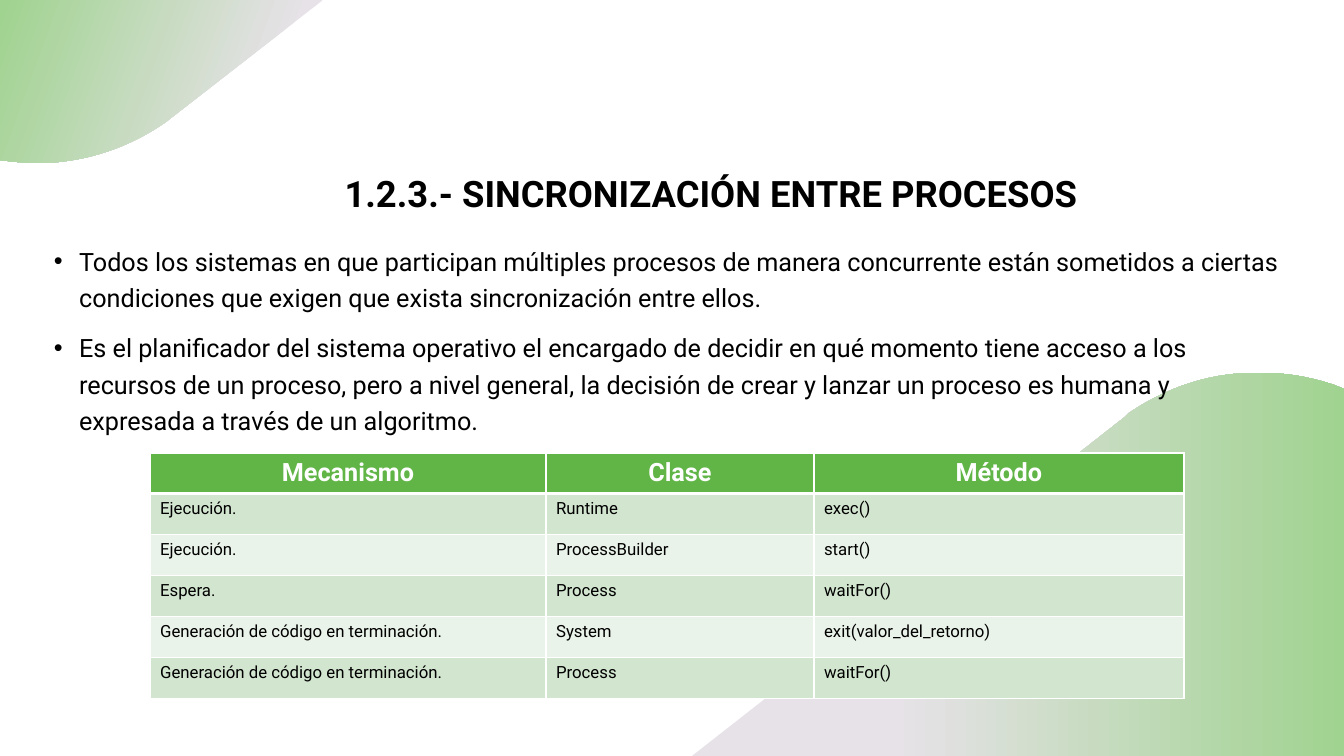
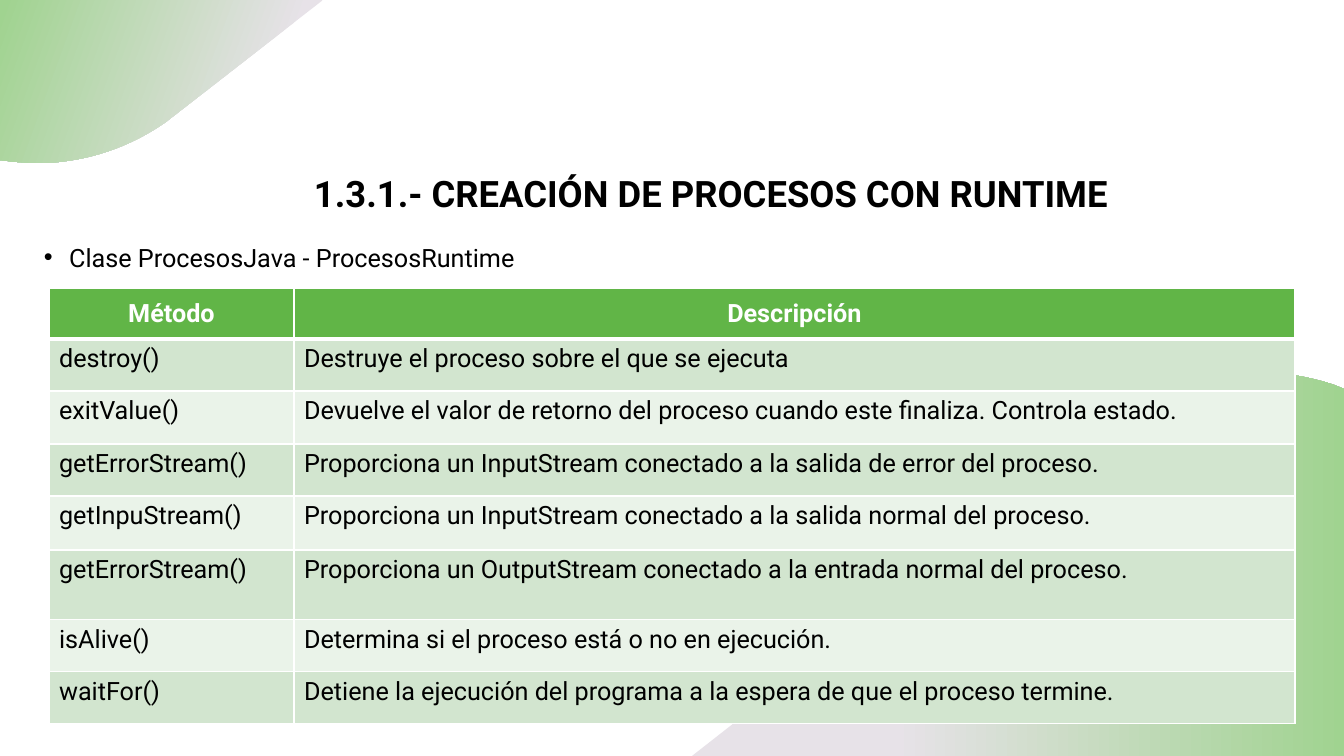
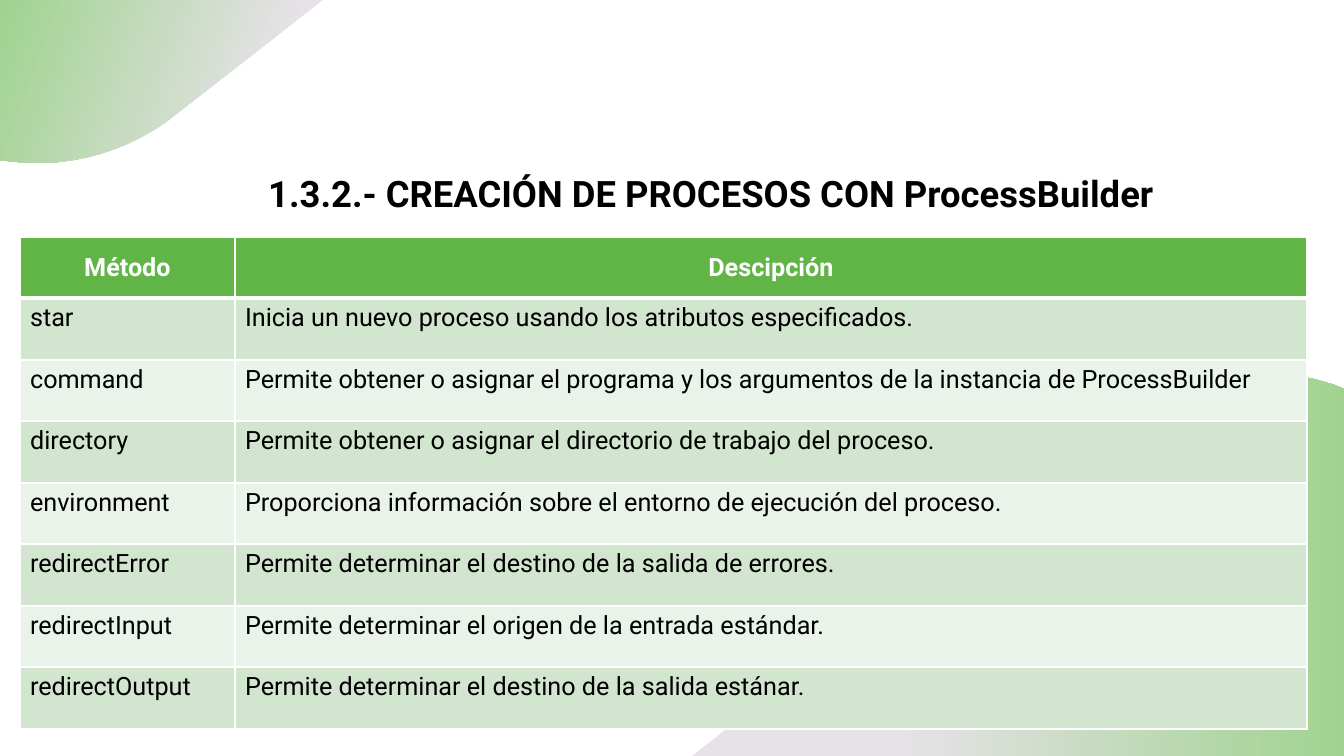
from lxml.etree import SubElement
from pptx import Presentation
from pptx.dml.color import RGBColor
from pptx.enum.text import MSO_ANCHOR, PP_ALIGN
from pptx.oxml.ns import qn
from pptx.util import Pt

WIDTH, HEIGHT = 1344, 756
SCALE = 12192000 / WIDTH
FONT = "Roboto"
CURVE_STEPS = 16

BLACK = RGBColor(0x00, 0x00, 0x00)
WHITE = RGBColor(0xFF, 0xFF, 0xFF)
HEADER_GREEN = RGBColor(0x61, 0xB5, 0x47)
BANDS = (RGBColor(0xD2, 0xE5, 0xCF), RGBColor(0xEA, 0xF3, 0xE9))
LAVENDER = RGBColor(0xE7, 0xE2, 0xE8)
LEAF_GREEN = RGBColor(0xA0, 0xD3, 0x90)

TITLE_BOX = (219, 126, 985, 139)
TOP_LEAF = {
    "start": (0, 0),
    "segments": [
        [(323, 0)], [(171, 118)], [(166, 122)],
        [(130, 147), (89, 161), (46, 163)],
        [(42, 163), (37, 163), (33, 163)],
        [(27, 163), (21, 162), (15, 162)],
        [(0, 160)],
    ],
    "stops": (0.19, 0.99),
    "angle": 160,
}
BOTTOM_LEAF = {
    "start": (1263, 373),
    "segments": [
        [(1287, 373), (1310, 377), (1334, 385)],
        [(1344, 389)], [(1344, 756)], [(692, 756)], [(1125, 417)], [(1129, 413)],
        [(1166, 388), (1207, 374), (1250, 373)],
        [(1254, 373), (1258, 372), (1263, 373)],
    ],
    "stops": (0.31, 1.0),
    "angle": 0,
}

SLIDES = [
    {
        "title": "1.2.3.- SINCRONIZACIÓN ENTRE PROCESOS",
        "body_box": (44, 235, 1246, 485),
        "bullets": [
            "Todos los sistemas en que participan múltiples procesos de manera concurrente están "
            "sometidos a ciertas condiciones que exigen que exista sincronización entre ellos.",
            "Es el planificador del sistema operativo el encargado de decidir en qué momento tiene "
            "acceso a los recursos de un proceso, pero a nivel general, la decisión de crear y lanzar "
            "un proceso es humana y expresada a través de un algoritmo.",
        ],
        "origin": (150, 453),
        "columns": [396, 268, 370],
        "heights": [40] + [41] * 5,
        "size": 12,
        "rows": [
            ("Mecanismo", "Clase", "Método"),
            ("Ejecución.", "Runtime", "exec()"),
            ("Ejecución.", "ProcessBuilder", "start()"),
            ("Espera.", "Process", "waitFor()"),
            ("Generación de código en terminación.", "System", "exit(valor_del_retorno)"),
            ("Generación de código en terminación.", "Process", "waitFor()"),
        ],
    },
    {
        "title": "1.3.1.- CREACIÓN DE PROCESOS CON RUNTIME",
        "body_box": (34, 231, 1271, 491),
        "bullets": ["Clase ProcesosJava - ProcesosRuntime"],
        "origin": (49, 288),
        "columns": [245, 1001],
        "heights": [51, 52, 53, 52, 54, 70, 52, 52],
        "size": 18,
        "rows": [
            ("Método", "Descripción"),
            ("destroy()", "Destruye el proceso sobre el que se ejecuta"),
            ("exitValue()", "Devuelve el valor de retorno del proceso cuando este finaliza. Controla estado."),
            ("getErrorStream()", "Proporciona un InputStream conectado a la salida de error del proceso."),
            ("getInpuStream()", "Proporciona un InputStream conectado a la salida normal del proceso."),
            ("getErrorStream()", "Proporciona un OutputStream conectado a la entrada normal del proceso."),
            ("isAlive()", "Determina si el proceso está o no en ejecución."),
            ("waitFor()", "Detiene la ejecución del programa a la espera de que el proceso termine."),
        ],
    },
    {
        "title": "1.3.2.- CREACIÓN DE PROCESOS CON ProcessBuilder",
        "bullets": [],
        "origin": (20, 237),
        "columns": [215, 1072],
        "heights": [61, 62] * 4,
        "size": 18,
        "rows": [
            ("Método", "Descipción"),
            ("star", "Inicia un nuevo proceso usando los atributos especificados."),
            ("command", "Permite obtener o asignar el programa y los argumentos de la instancia de ProcessBuilder"),
            ("directory", "Permite obtener o asignar el directorio de trabajo del proceso."),
            ("environment", "Proporciona información sobre el entorno de ejecución del proceso."),
            ("redirectError", "Permite determinar el destino de la salida de errores."),
            ("redirectInput", "Permite determinar el origen de la entrada estándar."),
            ("redirectOutput", "Permite determinar el destino de la salida estánar."),
        ],
    },
]


def px(value):
    return round(value * SCALE)


def add_run(paragraph, text, size, color=BLACK, bold=False):
    run = paragraph.add_run()
    run.text = text
    run.font.name = FONT
    run.font.size = Pt(size)
    run.font.bold = bold
    run.font.color.rgb = color


def curve_points(start, first, second, end):
    for step in range(1, CURVE_STEPS + 1):
        t = step / CURVE_STEPS
        u = 1 - t
        yield tuple(
            u ** 3 * a + 3 * u * u * t * b + 3 * u * t * t * c + t ** 3 * d
            for a, b, c, d in zip(start, first, second, end)
        )


def add_leaf(slide, leaf):
    points = [leaf["start"]]
    for segment in leaf["segments"]:
        points.extend(curve_points(points[-1], *segment) if len(segment) == 3 else segment)
    outline = [(px(x), px(y)) for x, y in points]
    builder = slide.shapes.build_freeform(*outline[0])
    builder.add_line_segments(outline[1:], close=True)
    shape = builder.convert_to_shape()
    shape.shadow.inherit = False
    shape.line.fill.background()
    shape.fill.gradient()
    shape.fill.gradient_angle = leaf["angle"]
    for stop, position, color in zip(shape.fill.gradient_stops, leaf["stops"], (LAVENDER, LEAF_GREEN)):
        stop.position = position
        stop.color.rgb = color


def add_text_frame(slide, box):
    frame = slide.shapes.add_textbox(*map(px, box)).text_frame
    frame.word_wrap = True
    return frame


def add_title(slide, text):
    frame = add_text_frame(slide, TITLE_BOX)
    frame.vertical_anchor = MSO_ANCHOR.MIDDLE
    paragraph = frame.paragraphs[0]
    paragraph.alignment = PP_ALIGN.CENTER
    paragraph.line_spacing = 0.9
    add_run(paragraph, text, 26, bold=True)


def add_bullets(slide, box, bullets):
    frame = add_text_frame(slide, box)
    for index, text in enumerate(bullets):
        paragraph = frame.add_paragraph() if index else frame.paragraphs[0]
        paragraph.line_spacing = 1.2
        paragraph.space_before = Pt(10)
        properties = paragraph._p.get_or_add_pPr()
        properties.set("marL", "228600")
        properties.set("indent", "-228600")
        SubElement(properties, qn("a:buFont"), typeface="Arial")
        SubElement(properties, qn("a:buChar"), char="•")
        add_run(paragraph, text, 18)


def set_borders(cell, row_index):
    thick_sides = {0: "B", 1: "T"}
    properties = cell._tc.get_or_add_tcPr()
    for side in "LRTB":
        width = Pt(3 if thick_sides.get(row_index) == side else 1)
        line = SubElement(properties, qn(f"a:ln{side}"), w=str(width))
        fill = SubElement(line, qn("a:solidFill"))
        SubElement(fill, qn("a:srgbClr"), val=str(WHITE))


def add_method_table(slide, content):
    rows, columns, heights = content["rows"], content["columns"], content["heights"]
    box = (*content["origin"], sum(columns), sum(heights))
    table = slide.shapes.add_table(len(rows), len(columns), *map(px, box)).table
    for column, width in zip(table.columns, columns):
        column.width = px(width)
    for row_index, (row, height, texts) in enumerate(zip(table.rows, heights, rows)):
        row.height = px(height)
        header = row_index == 0
        for cell, text in zip(row.cells, texts):
            set_borders(cell, row_index)
            cell.fill.solid()
            cell.fill.fore_color.rgb = HEADER_GREEN if header else BANDS[(row_index - 1) % 2]
            paragraph = cell.text_frame.paragraphs[0]
            if header:
                cell.vertical_anchor = MSO_ANCHOR.MIDDLE
                paragraph.alignment = PP_ALIGN.CENTER
                add_run(paragraph, text, 18, WHITE, True)
            else:
                add_run(paragraph, text, content["size"])


def main():
    presentation = Presentation()
    presentation.slide_width = px(WIDTH)
    presentation.slide_height = px(HEIGHT)
    for content in SLIDES:
        slide = presentation.slides.add_slide(presentation.slide_layouts[6])
        add_leaf(slide, TOP_LEAF)
        add_title(slide, content["title"])
        add_leaf(slide, BOTTOM_LEAF)
        if content["bullets"]:
            add_bullets(slide, content["body_box"], content["bullets"])
        add_method_table(slide, content)
    presentation.save("out.pptx")


if __name__ == "__main__":
    main()
